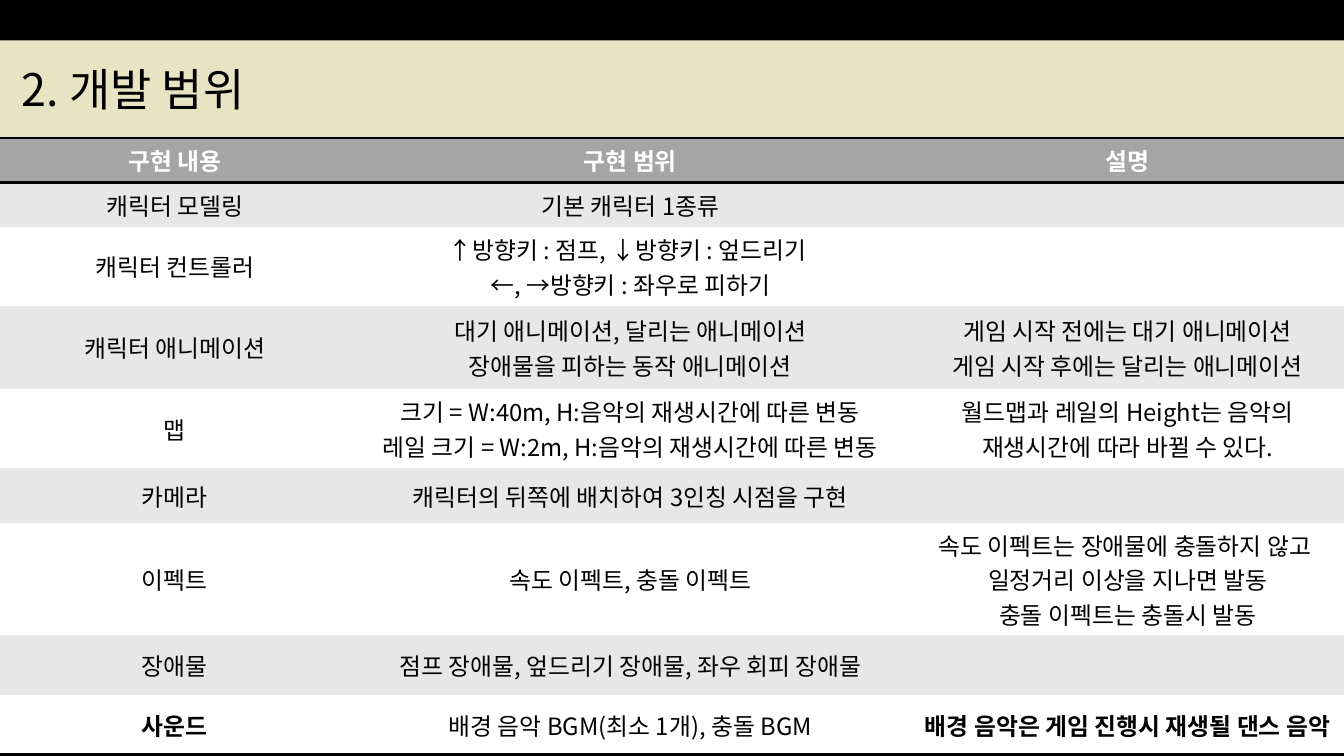
"""Build the development scope slide with its feature table."""
from lxml import etree
from pptx import Presentation
from pptx.dml.color import RGBColor
from pptx.enum.shapes import MSO_SHAPE
from pptx.enum.text import MSO_ANCHOR, MSO_AUTO_SIZE, PP_ALIGN
from pptx.oxml.ns import qn
from pptx.util import Cm, Pt

RECT = MSO_SHAPE.RECTANGLE
MID = MSO_ANCHOR.MIDDLE
LEFT, CENTER = PP_ALIGN.LEFT, PP_ALIGN.CENTER
FIXED = MSO_AUTO_SIZE.NONE
FONT = "Noto Sans CJK KR"
PLAIN = "{2D5ABB26-0587-4C30-8999-92F81FD0307C}"
BLACK, WHITE, CREAM = "000000", "FFFFFF", "E8E3C2"
HEAD, BAND = "A5A5A5", "E7E7E7"

TITLE = "2. 개발 범위"
ROWS = [
    ("구현 내용", "구현 범위", "설명"),
    ("캐릭터 모델링", "기본 캐릭터 1종류", ""),
    ("캐릭터 컨트롤러",
     "↑방향키 : 점프, ↓방향키 : 엎드리기 \n←, →방향키 : 좌우로 피하기", ""),
    ("캐릭터 애니메이션",
     "대기 애니메이션, 달리는 애니메이션\n장애물을 피하는 동작 애니메이션",
     "게임 시작 전에는 대기 애니메이션\n게임 시작 후에는 달리는 애니메이션"),
    ("맵",
     "크기 = W:40m, H:음악의 재생시간에 따른 변동\n"
     "레일 크기 = W:2m, H:음악의 재생시간에 따른 변동",
     "월드맵과 레일의 Height는 음악의\n재생시간에 따라 바뀔 수 있다."),
    ("카메라", "캐릭터의 뒤쪽에 배치하여 3인칭 시점을 구현", ""),
    ("이펙트", "속도 이펙트, 충돌 이펙트",
     "속도 이펙트는 장애물에 충돌하지 않고 \n"
     "일정거리 이상을 지나면 발동\n충돌 이펙트는 충돌시 발동"),
    ("장애물", "점프 장애물, 엎드리기 장애물, 좌우 회피 장애물", ""),
    ("사운드", "배경 음악 BGM(최소 1개), 충돌 BGM",
     "배경 음악은 게임 진행시 재생될 댄스 음악"),
]
LAST = len(ROWS) - 1
BOLD = {(0, 0), (0, 1), (0, 2), (LAST, 0), (LAST, 2)}
WIDTHS = [8.81, 14.15, 10.92]
HEIGHTS = [1.12, 1.12, 1.98, 2.11, 1.98, 1.4, 2.39, 1.5, 1.5]
BARS = [(0, 1.02), (18.62, 0.43)]
WIDE, HIGH = 33.87, 19.05


def color(code):
    return RGBColor.from_string(code)


def paint(fill, code):
    fill.solid()
    fill.fore_color.rgb = color(code)


def write(frame, text, size=17, ink=BLACK, bold=False, align=CENTER, space=1.0):
    frame.text = text
    for para in frame.paragraphs:
        para.alignment = align
        para.line_spacing = space
        for run in para.runs:
            font = run.font
            font.size, font.bold = Pt(size), bold
            font.color.rgb = color(ink)
            font.name = FONT
            east = etree.SubElement(run._r.get_or_add_rPr(), qn("a:ea"))
            east.set("typeface", FONT)


def rule(cell, *sides):
    props = cell._tc.get_or_add_tcPr()
    for side in sides:
        line = etree.SubElement(props, qn("a:" + side), w=str(Pt(2)))
        fill = etree.SubElement(line, qn("a:solidFill"))
        etree.SubElement(fill, qn("a:srgbClr"), val=BLACK)


def add_grid(slide):
    frame = slide.shapes.add_table(len(ROWS), len(WIDTHS), Cm(0), Cm(3.48),
                                   Cm(sum(WIDTHS)), Cm(sum(HEIGHTS)))
    grid = frame.table
    grid.first_row = grid.horz_banding = False
    grid._tbl.tblPr.find(qn("a:tableStyleId")).text = PLAIN
    for col, width in zip(grid.columns, WIDTHS):
        col.width = Cm(width)
    for r, texts in enumerate(ROWS):
        grid.rows[r].height = Cm(HEIGHTS[r])
        for c, text in enumerate(texts):
            cell = grid.cell(r, c)
            cell.vertical_anchor = MID
            cell.margin_left = cell.margin_right = Cm(0.25)
            cell.margin_top = cell.margin_bottom = Cm(0.1)
            if r == 0:
                rule(cell, "lnT", "lnB")
            elif r == LAST:
                rule(cell, "lnB")
            paint(cell.fill, HEAD if r == 0 else BAND if r % 2 else WHITE)
            write(cell.text_frame, text, ink=BLACK if r else WHITE,
                  bold=(r, c) in BOLD)


def main():
    deck = Presentation()
    deck.slide_width, deck.slide_height = Cm(WIDE), Cm(HIGH)
    slide = deck.slides.add_slide(deck.slide_layouts[5])
    paint(slide.background.fill, CREAM)
    for top, tall in BARS:
        bar = slide.shapes.add_shape(RECT, Cm(0), Cm(top), Cm(WIDE), Cm(tall))
        bar.shadow.inherit = False
        paint(bar.fill, BLACK)
        bar.line.fill.background()
    title = slide.shapes.title
    title.left, title.top = Cm(0.3), Cm(1.02)
    title.width, title.height = Cm(7.82), Cm(2.59)
    frame = title.text_frame
    frame.word_wrap, frame.auto_size = True, FIXED
    frame.vertical_anchor = MID
    write(frame, TITLE, size=32, align=LEFT, space=0.9)
    add_grid(slide)
    deck.save("out.pptx")


if __name__ == "__main__":
    main()
